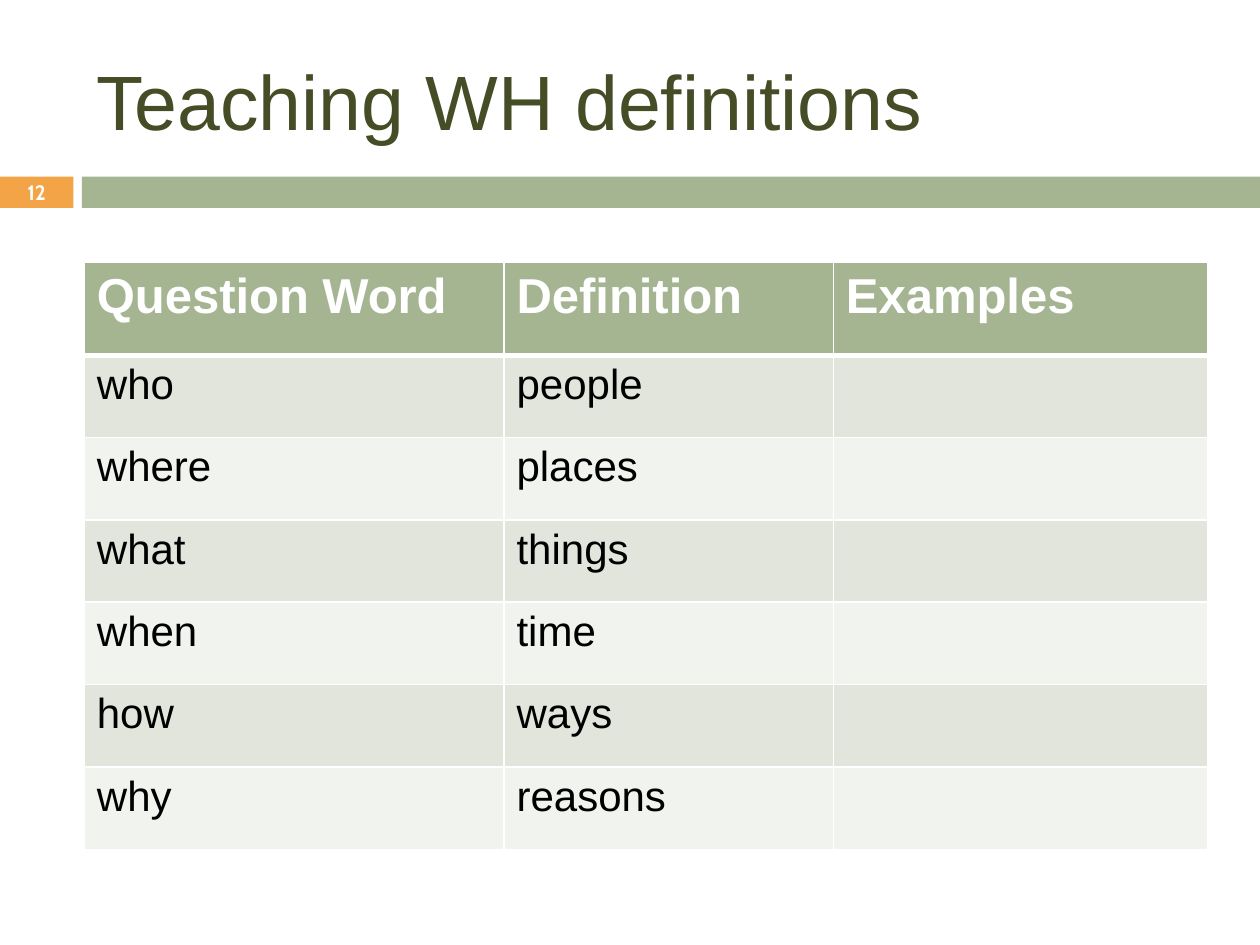
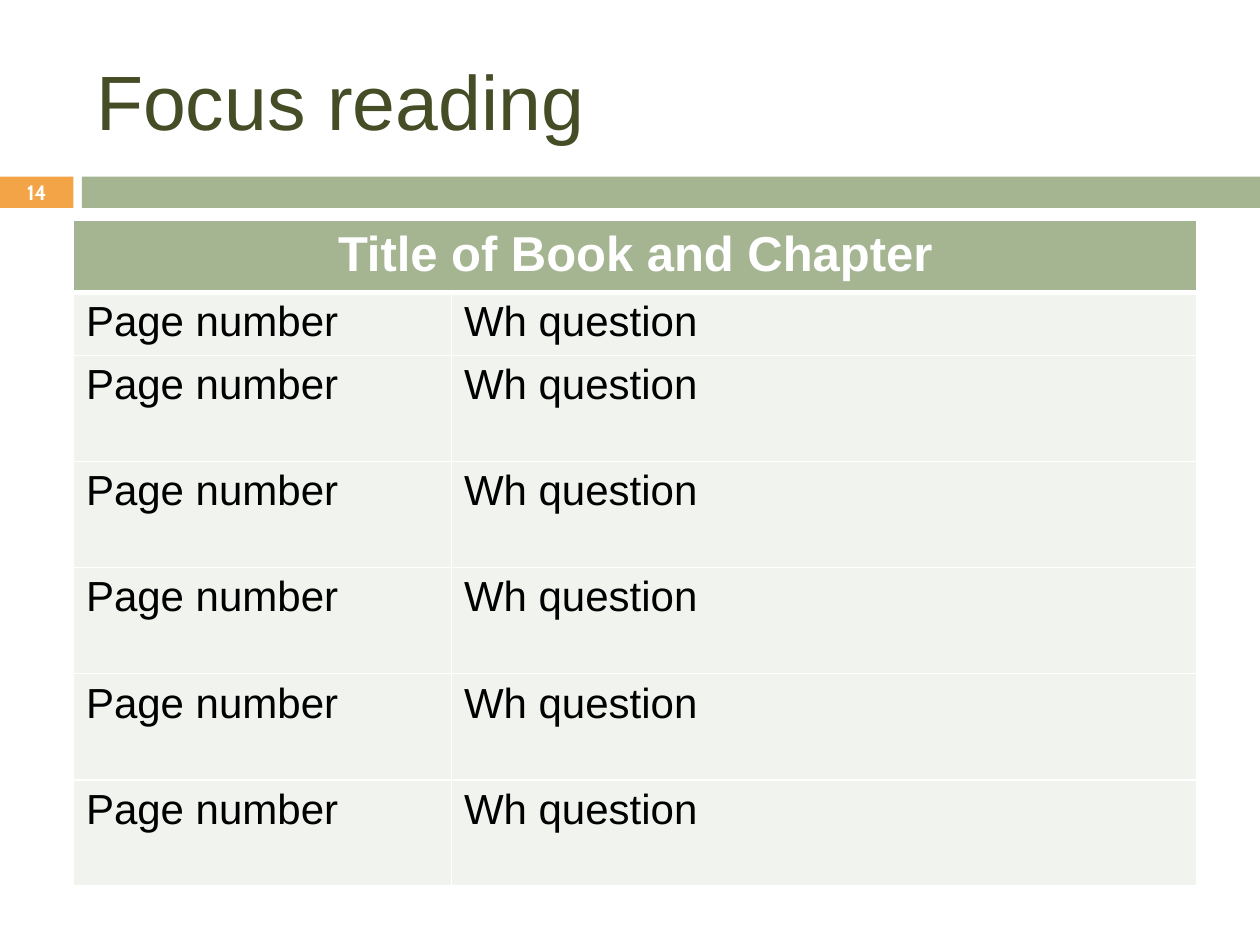
from dataclasses import dataclass

import lxml.etree
import pptx
import pptx.dml.color
import pptx.enum.shapes
import pptx.enum.text
import pptx.oxml.ns
import pptx.util

Cm = pptx.util.Cm
Pt = pptx.util.Pt
ALIGN = pptx.enum.text.PP_ALIGN
ANCHOR = pptx.enum.text.MSO_ANCHOR


@dataclass(frozen=True)
class Theme:
    green: str = "A5B592"
    orange: str = "F3A447"
    dark_green: str = "444D26"
    band_dark: str = "E1E5DC"
    band_light: str = "F0F3EE"
    white: str = "FFFFFF"
    black: str = "000000"
    font: str = "Arial"
    number_font: str = "Cabin"
    title_size: float = 44
    header_size: float = 28
    body_size: float = 24
    number_size: float = 11.9
    thin_border: float = 1
    thick_border: float = 3


THEME = Theme()


def rgb(color):
    return pptx.dml.color.RGBColor.from_string(color)


def set_text(frame, text, size, color, font=THEME.font, bold=False, align=ALIGN.LEFT):
    paragraph = frame.paragraphs[0]
    paragraph.text = text
    paragraph.alignment = align
    paragraph.font.name = font
    paragraph.font.size = Pt(size)
    paragraph.font.bold = bold
    paragraph.font.color.rgb = rgb(color)
    return paragraph


def add_band(slide, left, width, color):
    band = slide.shapes.add_shape(
        pptx.enum.shapes.MSO_SHAPE.RECTANGLE, Cm(left), Cm(3.56), Cm(width), Cm(0.63))
    band.shadow.inherit = False
    band.fill.solid()
    band.fill.fore_color.rgb = rgb(color)
    band.line.fill.background()


def add_text_box(slide, left, top, width, height):
    """Add a wrapping, vertically centred text box and return its text frame."""
    frame = slide.shapes.add_textbox(Cm(left), Cm(top), Cm(width), Cm(height)).text_frame
    frame.word_wrap = True
    frame.vertical_anchor = ANCHOR.MIDDLE
    return frame


def add_titled_slide(presentation, title, number):
    slide = presentation.slides.add_slide(presentation.slide_layouts[6])
    add_band(slide, 0, 1.48, THEME.orange)
    add_band(slide, 1.65, 23.75, THEME.green)
    title_frame = add_text_box(slide, 1.69, 0.64, 22.66, 2.75)
    set_text(title_frame, title, THEME.title_size, THEME.dark_green)
    number_frame = add_text_box(slide, 0, 3.54, 1.48, 0.68)
    number_frame.margin_top = number_frame.margin_bottom = 0
    set_text(number_frame, str(number), THEME.number_size, THEME.white,
             THEME.number_font, True, ALIGN.CENTER)
    return slide


def set_borders(cell, top, bottom):
    """Draw white lines round a cell; top and bottom are widths in points."""
    properties = cell._tc.get_or_add_tcPr()
    widths = {"L": THEME.thin_border, "R": THEME.thin_border, "T": top, "B": bottom}
    for side, width in widths.items():
        line = lxml.etree.SubElement(
            properties, pptx.oxml.ns.qn(f"a:ln{side}"), w=str(Pt(width)))
        fill = lxml.etree.SubElement(line, pptx.oxml.ns.qn("a:solidFill"))
        lxml.etree.SubElement(fill, pptx.oxml.ns.qn("a:srgbClr"), val=THEME.white)


def style_cell(cell, row, bands):
    set_borders(cell,
                THEME.thick_border if row == 1 else THEME.thin_border,
                THEME.thick_border if row == 0 else THEME.thin_border)
    cell.fill.solid()
    color = THEME.green if row == 0 else bands[(row - 1) % len(bands)]
    cell.fill.fore_color.rgb = rgb(color)


def add_table(slide, left, top, widths, heights, rows, bands):
    """Add a table with a green header row and body rows cycling through bands."""
    table = slide.shapes.add_table(
        len(rows), len(widths), Cm(left), Cm(top), Cm(sum(widths)), Cm(sum(heights))).table
    table.horz_banding = False
    for column, width in zip(table.columns, widths):
        column.width = Cm(width)
    for row_index, (height, texts) in enumerate(zip(heights, rows)):
        table.rows[row_index].height = Cm(height)
        for column_index in range(len(widths)):
            style_cell(table.cell(row_index, column_index), row_index, bands)
        for column_index, text in enumerate(texts):
            frame = table.cell(row_index, column_index).text_frame
            if row_index == 0:
                set_text(frame, text, THEME.header_size, THEME.white, bold=True)
            else:
                set_text(frame, text, THEME.body_size, THEME.black)
    return table


def add_definitions_slide(presentation):
    slide = add_titled_slide(presentation, "Teaching WH definitions", 12)
    rows = [
        ("Question Word", "Definition", "Examples"),
        ("who", "people"),
        ("where", "places"),
        ("what", "things"),
        ("when", "time"),
        ("how", "ways"),
        ("why", "reasons"),
    ]
    add_table(slide, 1.7, 5.29, [8.46, 6.64, 7.55], [1.87] + [1.66] * 6, rows,
              [THEME.band_dark, THEME.band_light])


def add_reading_slide(presentation):
    slide = add_titled_slide(presentation, "Focus reading", 14)
    rows = [("Title of Book and Chapter",)] + [("Page number", "Wh question")] * 6
    table = add_table(slide, 1.48, 4.45, [7.62, 15.03], [1.35, 1.19] + [2.14] * 5, rows,
                      [THEME.band_light])
    heading = table.cell(0, 0)
    heading.merge(table.cell(0, 1))
    paragraph = heading.text_frame.paragraphs[0]
    paragraph.alignment = ALIGN.CENTER
    paragraph.space_after = Pt(6)


def main():
    presentation = pptx.Presentation()
    presentation.slide_width = Cm(25.4)
    presentation.slide_height = Cm(19.05)
    add_definitions_slide(presentation)
    add_reading_slide(presentation)
    presentation.save("out.pptx")


if __name__ == "__main__":
    main()
